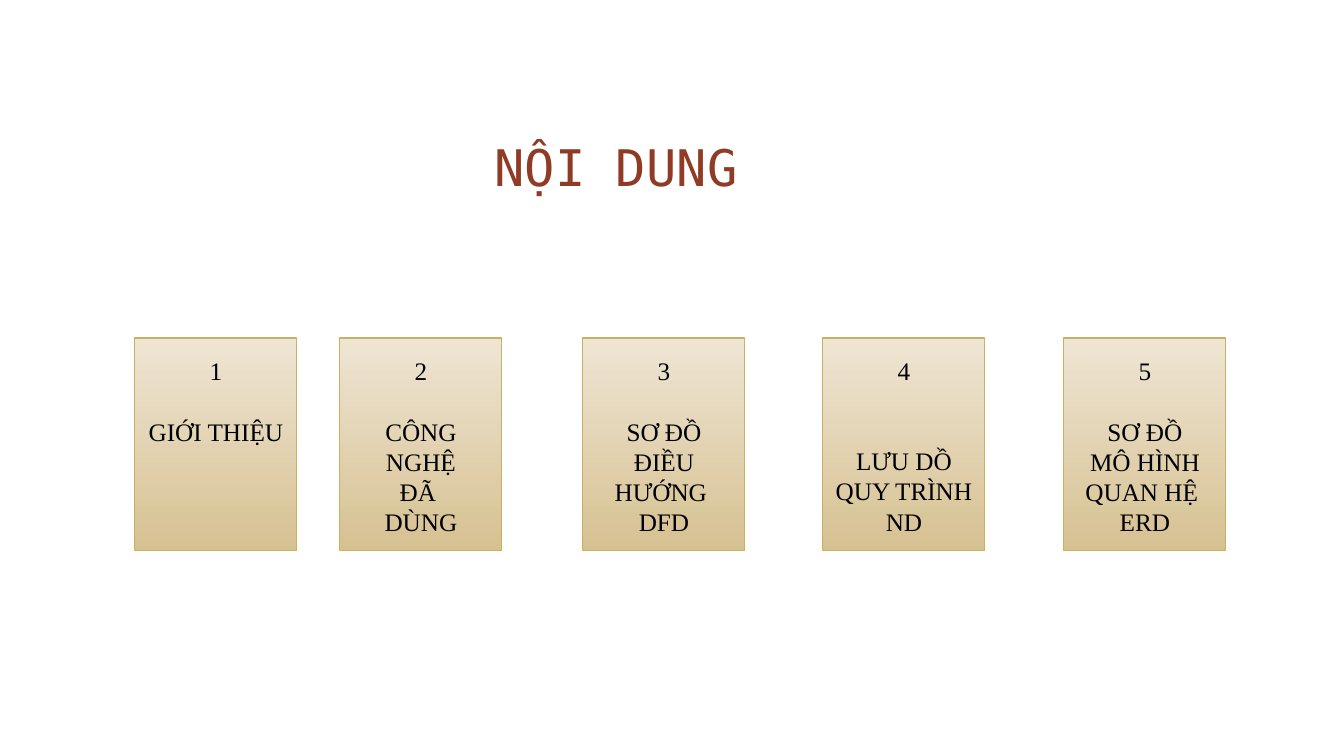
"""Build the contents slide: a title above five numbered topic cards."""
from dataclasses import dataclass

from pptx import Presentation
from pptx.dml.color import RGBColor
from pptx.enum.shapes import MSO_SHAPE
from pptx.enum.text import MSO_ANCHOR, PP_ALIGN
from pptx.util import Pt

HEADING = "NỘI DUNG"
TOPICS = [
    {"left": 135, "gap": 22, "lines": ["GIỚI THIỆU"]},
    {"left": 340, "gap": 22, "lines": ["CÔNG NGHỆ", "ĐÃ ", "DÙNG"]},
    {"left": 583, "gap": 22, "lines": ["SƠ ĐỒ", "ĐIỀU HƯỚNG ", "DFD"]},
    {"left": 823, "gap": 43, "lines": ["LƯU DỒ QUY TRÌNH", "ND"]},
    {"left": 1064, "gap": 22, "lines": ["SƠ ĐỒ\vMÔ HÌNH QUAN HỆ ", "ERD"]},
]


@dataclass(frozen=True)
class Theme:
    """Colours, fonts and type sizes of the slide."""
    heading: RGBColor = RGBColor.from_string("903B25")
    text: RGBColor = RGBColor.from_string("000000")
    border: RGBColor = RGBColor.from_string("CBAF62")
    gradient: tuple = (RGBColor.from_string("EEE5D4"), RGBColor.from_string("D6C191"))
    heading_font: str = "DejaVu Sans Mono"
    card_font: str = "Times New Roman"
    heading_size: int = Pt(36)
    card_size: int = Pt(18)


THEME = Theme()
EMU_PER_PX = 914400 / 100.8
SLIDE_WIDTH, SLIDE_HEIGHT = 1344, 756
HEADING_BOX = (135, 56, 962, 146)
CARD_TOP, CARD_WIDTH, CARD_HEIGHT = 338, 162, 213
CARD_INSET = 17
HEADING_FORMAT = {"name": THEME.heading_font, "size": THEME.heading_size}
CARD_FORMAT = {"name": THEME.card_font, "size": THEME.card_size}


def px(length):
    """Turn pixels into EMU."""
    return round(length * EMU_PER_PX)


def write(paragraph, words, font_format, color):
    """Fill a centred paragraph with formatted words."""
    paragraph.text = words
    paragraph.alignment = PP_ALIGN.CENTER
    for run in paragraph.runs:
        for attribute, value in font_format.items():
            setattr(run.font, attribute, value)
        run.font.color.rgb = color


def add_heading(slide):
    """Place the heading in the title placeholder."""
    heading = slide.shapes.title
    for side, length in zip(("left", "top", "width", "height"), HEADING_BOX):
        setattr(heading, side, px(length))
    heading.text_frame.vertical_anchor = MSO_ANCHOR.BOTTOM
    write(heading.text_frame.paragraphs[0], HEADING, HEADING_FORMAT, THEME.heading)


def add_card(slide, number, topic):
    """Draw one card with its number and topic."""
    box = (topic["left"], CARD_TOP, CARD_WIDTH, CARD_HEIGHT)
    card = slide.shapes.add_shape(MSO_SHAPE.RECTANGLE, *map(px, box))
    card.shadow.inherit = False
    card.fill.gradient()
    card.fill.gradient_angle = 270
    for stop, color in zip(card.fill.gradient_stops, THEME.gradient):
        stop.color.rgb = color
    card.line.color.rgb = THEME.border
    card.line.width = Pt(0.75)
    frame = card.text_frame
    frame.word_wrap = True
    frame.vertical_anchor = MSO_ANCHOR.TOP
    frame.margin_top = px(CARD_INSET)
    write(frame.paragraphs[0], str(number), CARD_FORMAT, THEME.text)
    frame.paragraphs[0].space_after = Pt(topic["gap"])
    for line in topic["lines"]:
        write(frame.add_paragraph(), line, CARD_FORMAT, THEME.text)


def main():
    """Build and save the slide."""
    deck = Presentation()
    deck.slide_width, deck.slide_height = px(SLIDE_WIDTH), px(SLIDE_HEIGHT)
    slide = deck.slides.add_slide(deck.slide_layouts[5])
    add_heading(slide)
    for number, topic in enumerate(TOPICS, start=1):
        add_card(slide, number, topic)
    deck.save("out.pptx")


if __name__ == "__main__":
    main()
